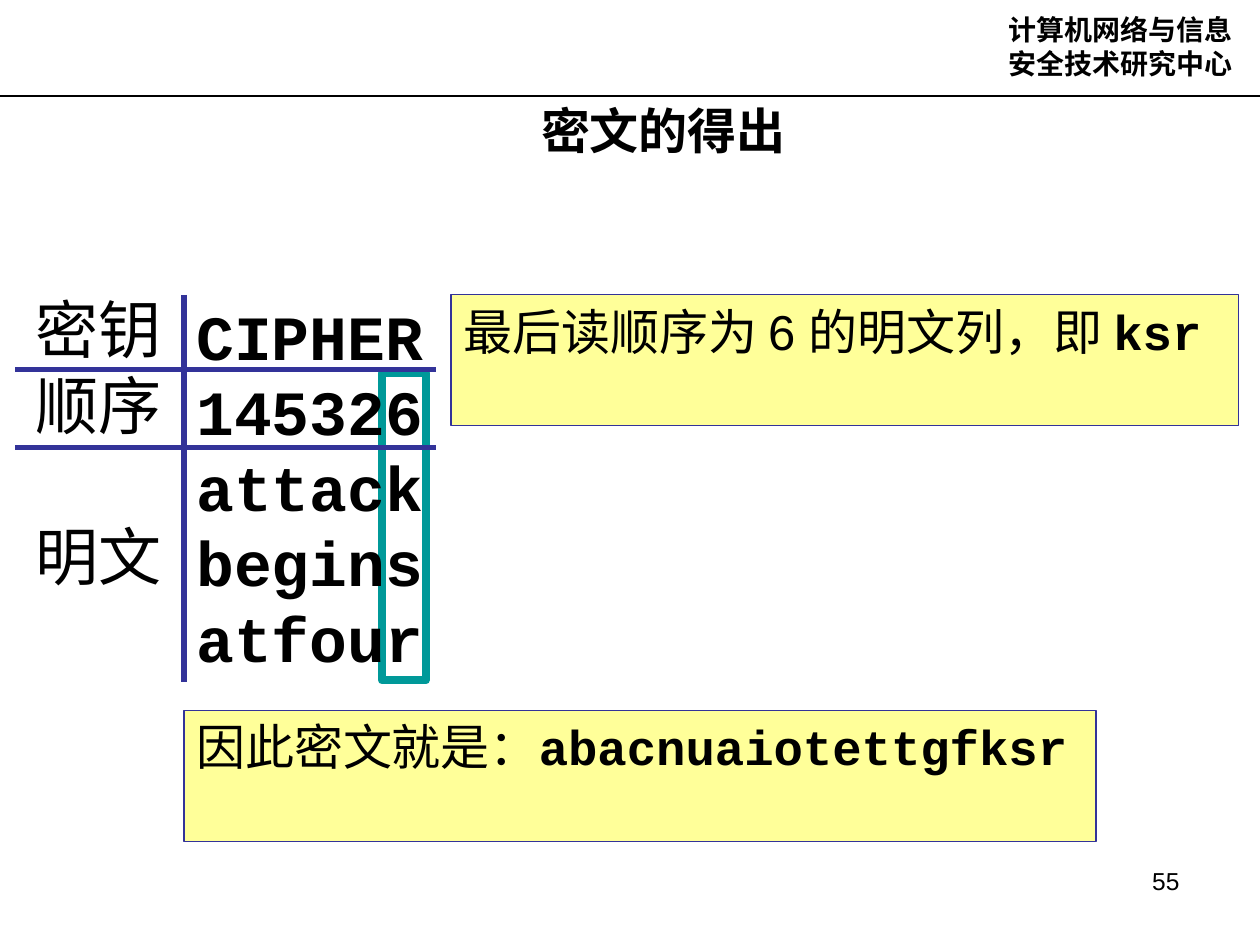
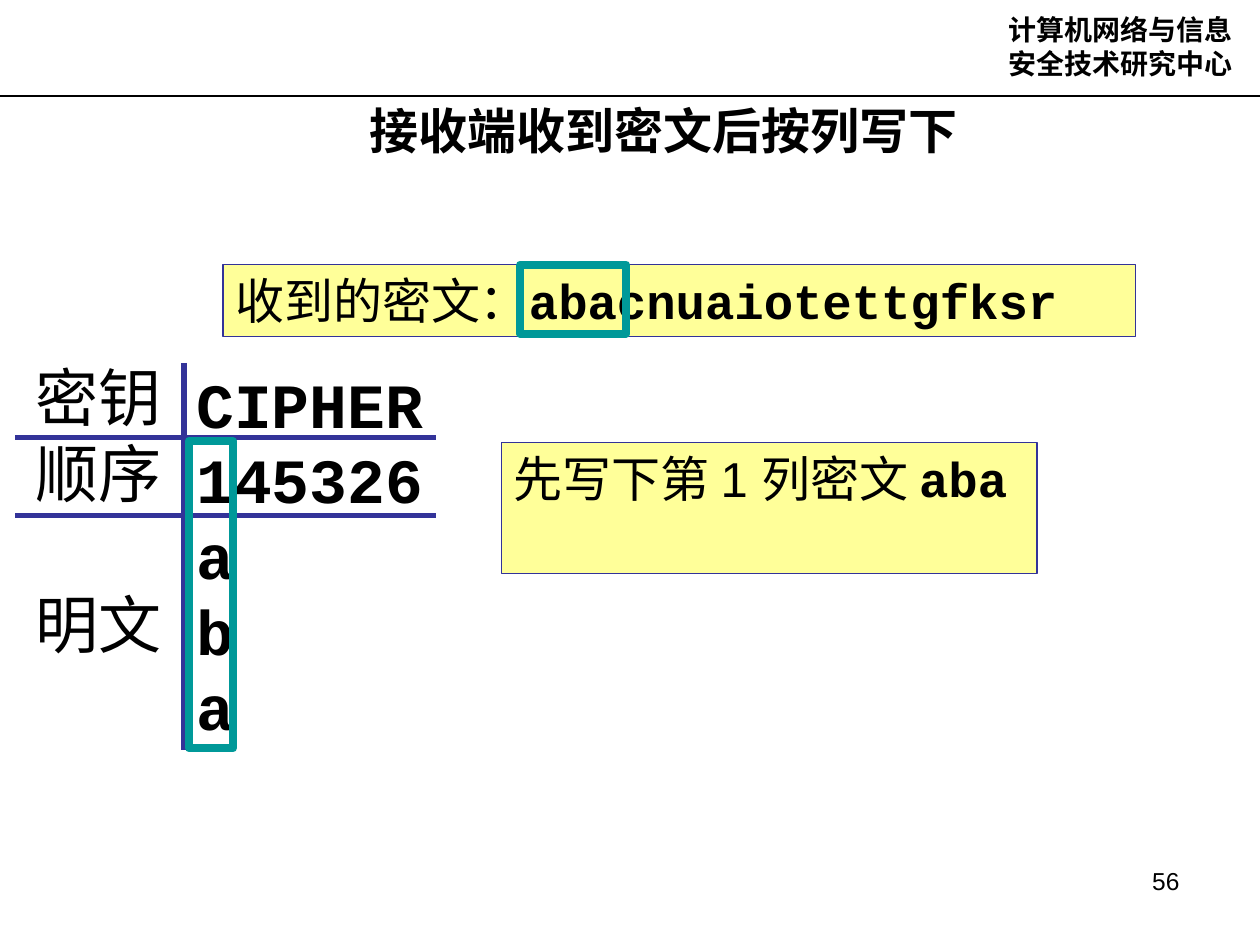
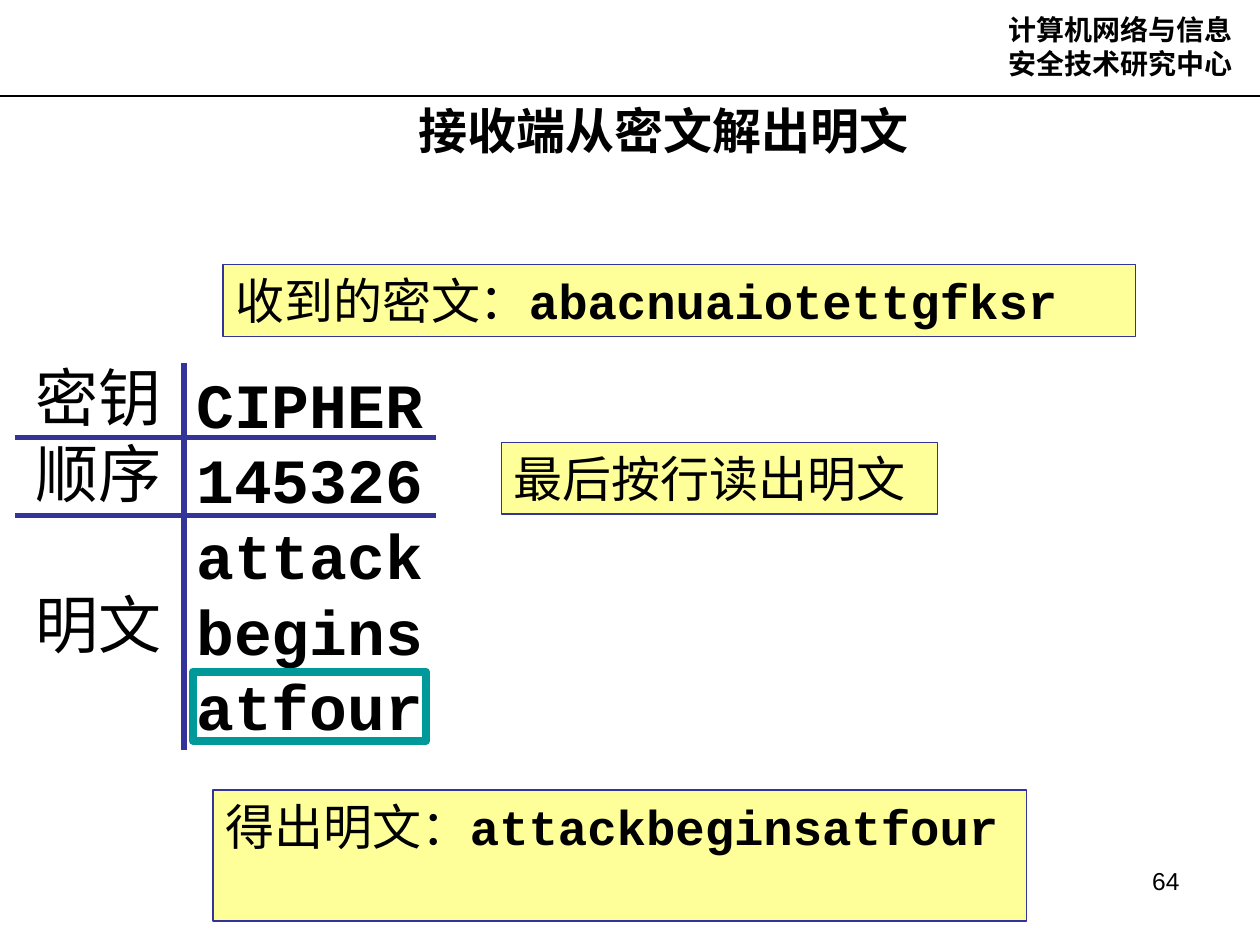
from lxml import etree
from pptx import Presentation
from pptx.dml.color import RGBColor
from pptx.enum.shapes import MSO_CONNECTOR, MSO_SHAPE
from pptx.enum.text import MSO_ANCHOR, PP_ALIGN
from pptx.oxml.ns import qn
from pptx.util import Inches, Pt

RECTANGLE = MSO_SHAPE.RECTANGLE
STRAIGHT = MSO_CONNECTOR.STRAIGHT
TOP, MIDDLE = MSO_ANCHOR.TOP, MSO_ANCHOR.MIDDLE
LEFT, CENTER, RIGHT = PP_ALIGN.LEFT, PP_ALIGN.CENTER, PP_ALIGN.RIGHT

BLACK, NAVY, TEAL, YELLOW = "000000", "333399", "009999", "FFFF99"
SANS, MONO, LABEL = "Arial", "Courier New", "Roboto"

TITLE_ONLY = 5
ROW = 0.6                   # height of a row of letters
COLUMN = 1.53 / 5           # distance between two letters
GRID_LEFT, GRID_RIGHT, KEY_LEFT = 0.12, 3.46, 1.46
CIPHERTEXT = "abacnuaiotettgfksr"
PLAINTEXT = ["attack", "begins", "atfour"]


def color(value):
    return RGBColor.from_string(value)


def set_font(font, name, size, bold=False):
    font.name = name
    font.size = Pt(size)
    font.bold = bold
    font.color.rgb = color(BLACK)


def add_line(slide, start, end, line_color, width):
    line = slide.shapes.add_connector(STRAIGHT, *map(Inches, start + end))
    line.line.color.rgb = color(line_color)
    line.line.width = Pt(width)
    etree.SubElement(line.element.spPr, qn("a:effectLst"))
    return line


def add_text(slide, area, lines, name, size, bold=False, align=LEFT, wrap=True):
    box = slide.shapes.add_textbox(*map(Inches, area))
    frame = box.text_frame
    frame.word_wrap = wrap
    frame.text = "\n".join(lines)
    for paragraph in frame.paragraphs:
        paragraph.alignment = align
        set_font(paragraph.font, name, size, bold)
    return box


def add_rectangle(slide, area, line_color, width, fill=None):
    box = slide.shapes.add_shape(RECTANGLE, *map(Inches, area))
    box.shadow.inherit = False
    box.line.color.rgb = color(line_color)
    box.line.width = Pt(width)
    if fill:
        box.fill.solid()
        box.fill.fore_color.rgb = color(fill)
    else:
        box.fill.background()
    return box


def add_note(slide, area, text, letters=""):
    """Yellow box with a sentence and, after it, letters in the code font."""
    frame = add_rectangle(slide, area, NAVY, 0.75, YELLOW).text_frame
    frame.word_wrap = True
    frame.vertical_anchor = TOP
    paragraph = frame.paragraphs[0]
    paragraph.alignment = LEFT
    for content, name, bold in ((text, SANS, False), (letters, MONO, True)):
        if content:
            span = paragraph.add_run()
            span.text = content
            set_font(span.font, name, 28, bold)


def add_received_note(slide):
    add_note(slide, (1.77, 2.1, 7.24, 0.57), "收到的密文：", CIPHERTEXT)


def add_highlight(slide, area):
    add_rectangle(slide, area, TEAL, 4.5)


def highlight_column(slide, top, column):
    add_highlight(slide, (1.5 + column * COLUMN, top + 0.65, 0.35, 2.44))


def highlight_row(slide, top, row):
    add_highlight(slide, (1.53, top + 0.08 + row * ROW, 1.85, 0.55))


def add_cipher_grid(slide, top, plaintext):
    """Key, order and plaintext rows, with their labels and rules."""
    add_text(slide, (KEY_LEFT, top, 2, 5 * ROW + 0.1),
             ["CIPHER", "145326"] + plaintext, MONO, 36, True, wrap=False)
    labels = add_text(slide, (0.18, top - 0.05, 1.2, 4 * ROW + 0.1),
                      ["密钥", "顺序", "明文"], LABEL, 36, wrap=False)
    labels.text_frame.paragraphs[-1].space_before = Inches(ROW)
    for rule in (top + 0.62, top + 1.24):
        add_line(slide, (GRID_LEFT, rule), (GRID_RIGHT, rule), NAVY, 3)
    add_line(slide, (KEY_LEFT, top + 0.03), (KEY_LEFT, top + 3.1), NAVY, 3)


def move_header_to_layout(slide, layout):
    """Draw the header once and let every slide take it from the layout."""
    header = (
        add_line(slide, (0, 0.76), (10, 0.76), BLACK, 1),
        add_text(slide, (7.91, 0.05, 2.13, 0.64),
                 ["计算机网络与信息安全技术研究中心"], SANS, 16, True),
    )
    for shape in header:
        layout.shapes.element.append(shape.element)


def place_title(layout):
    title = next(iter(layout.placeholders))
    title.left, title.top, title.width, title.height = map(
        Inches, (0.75, 0.23, 9.03, 1.6))


def add_page(deck, layout, title, number):
    slide = deck.slides.add_slide(layout)
    frame = slide.shapes.title.text_frame
    frame.text = title
    frame.vertical_anchor = MIDDLE
    paragraph = frame.paragraphs[0]
    paragraph.alignment = CENTER
    set_font(paragraph.font, SANS, 28, True)
    add_text(slide, (7.13, 6.82, 2.33, 0.52), [str(number)], SANS, 14, align=RIGHT)
    return slide


def main():
    deck = Presentation()
    deck.slide_width, deck.slide_height = Inches(10), Inches(7.5)
    layout = deck.slide_layouts[TITLE_ONLY]
    place_title(layout)

    page = add_page(deck, layout, "密文的得出", 55)
    move_header_to_layout(page, layout)
    top = 2.31
    highlight_column(page, top, 5)
    add_cipher_grid(page, top, PLAINTEXT)
    add_note(page, (3.58, 2.34, 6.25, 1.04), "最后读顺序为 6 的明文列，即 ", "ksr")
    add_note(page, (1.46, 5.64, 7.24, 1.04), "因此密文就是：", CIPHERTEXT)

    top = 2.85
    page = add_page(deck, layout, "接收端收到密文后按列写下", 56)
    add_cipher_grid(page, top, ["a", "b", "a"])
    add_note(page, (3.98, 3.51, 4.25, 1.04), "先写下第 1 列密文 ", "aba")
    add_received_note(page)
    highlight_column(page, top, 0)
    add_highlight(page, (4.13, 2.1, 0.84, 0.55))

    page = add_page(deck, layout, "接收端从密文解出明文", 64)
    add_cipher_grid(page, top, PLAINTEXT)
    add_note(page, (3.98, 3.51, 3.46, 0.57), "最后按行读出明文")
    add_received_note(page)
    highlight_row(page, top, 4)
    add_note(page, (1.69, 6.27, 6.46, 1.04), "得出明文：", "".join(PLAINTEXT))

    deck.save("out.pptx")


if __name__ == "__main__":
    main()
